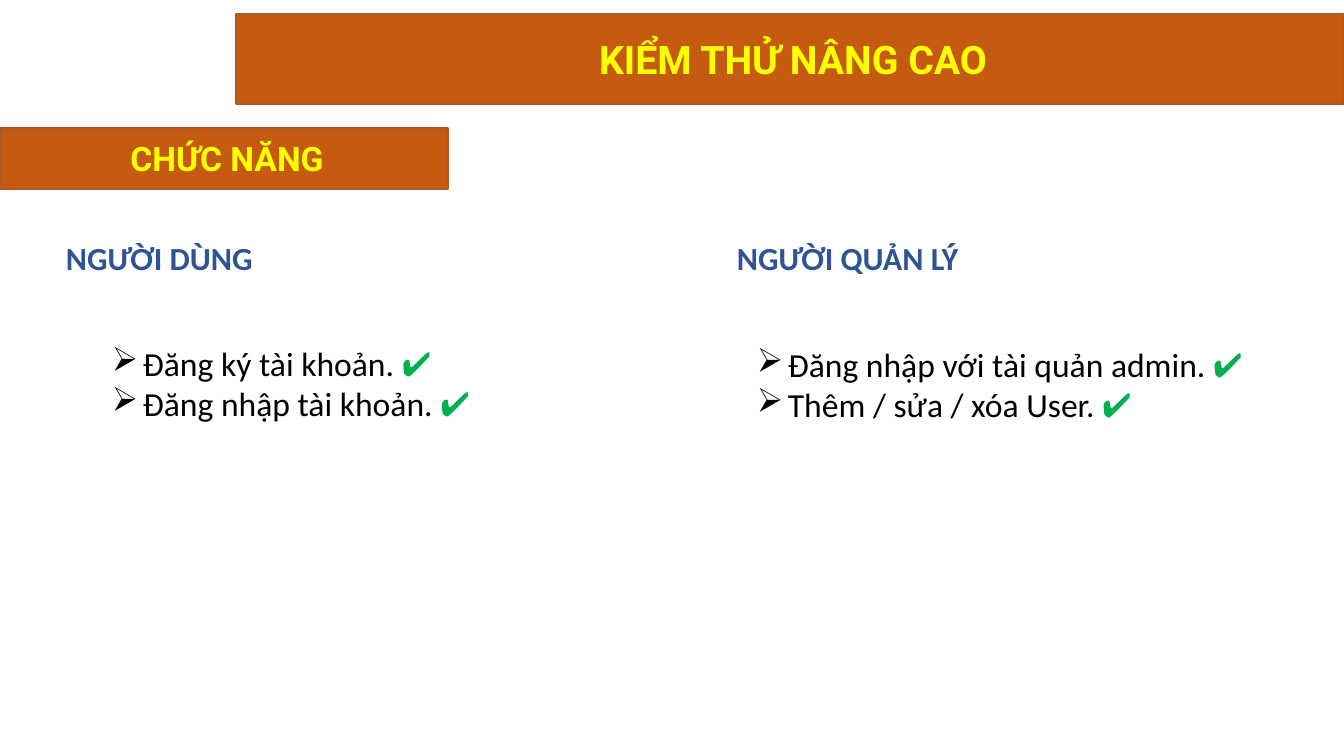
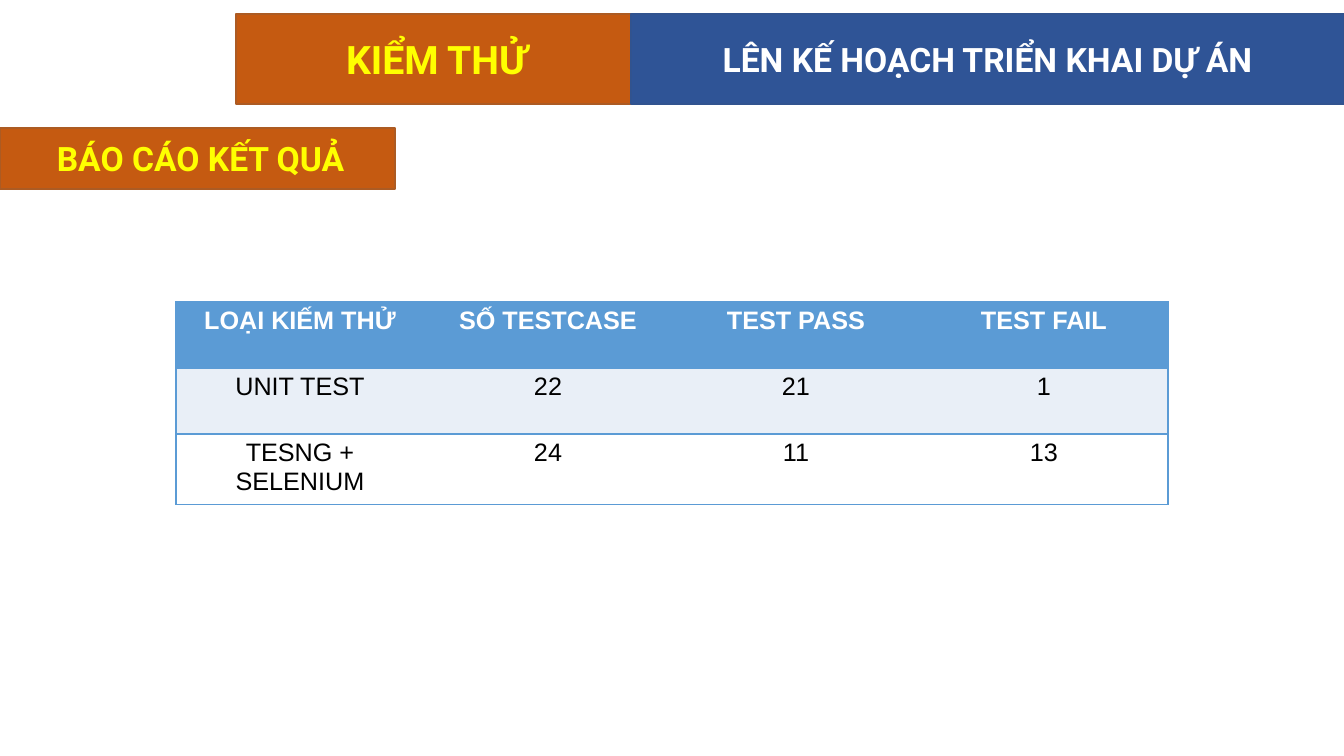
from lxml import etree
from pptx import Presentation
from pptx import util as u
from pptx.dml.color import RGBColor
from pptx.enum import shapes, text
from pptx.oxml.ns import qn

SCALE = 914400 / 100.8
HUES = {
    "rust": "C55A11", "edge": "AC5B23", "navy": "2F5496", "rim": "31538F",
    "yellow": "FFFF00", "white": "FFFFFF", "black": "000000",
    "green": "00B050", "sky": "5B9BD5", "pale": "E9EFF7",
}


def box(slide, spot, words, size, face, hue, fill=None, line=None, indent=6):
    area = [u.Emu(round(n * SCALE)) for n in spot]
    if fill:
        item = slide.shapes.add_shape(shapes.MSO_SHAPE.RECTANGLE, *area)
        item.shadow.inherit = False
        item.fill.solid()
        item.fill.fore_color.rgb = RGBColor.from_string(HUES[fill])
        item.line.color.rgb = RGBColor.from_string(HUES[line])
        item.line.width = u.Pt(1)
    else:
        item = slide.shapes.add_textbox(*area)
    frame = item.text_frame
    frame.word_wrap = True
    frame.text = words
    for para in frame.paragraphs:
        if fill:
            frame.vertical_anchor = text.MSO_ANCHOR.MIDDLE
            para.alignment = text.PP_ALIGN.CENTER
            para._p.get_or_add_pPr().set("marL", str(round(indent * SCALE)))
        style(para, size, face, hue, True)
    return frame


def style(para, size, face, hue, bold):
    for run in para.runs:
        run.font.size = u.Pt(size)
        run.font.name = face
        run.font.bold = bold
        run.font.color.rgb = RGBColor.from_string(HUES[hue])


deck = Presentation()
deck.slide_width = u.Emu(round(1344 * SCALE))
deck.slide_height = u.Emu(round(756 * SCALE))
blank = deck.slide_layouts[6]

heads = [
    ("KIỂM THỬ NÂNG CAO", 1108, "CHỨC NĂNG", 448),
    ("KIỂM THỬ", 395, "BÁO CÁO KẾT QUẢ", 395),
]
pages = []
for title, wide, label, span in heads:
    page = deck.slides.add_slide(blank)
    box(page, (236, 14, wide, 90), title, 28, "Roboto", "yellow", "rust", "edge")
    box(page, (0, 128, span, 61), label, 24, "Roboto", "yellow", "rust", "edge")
    pages.append(page)
roles, report = pages

groups = [
    (56, 102, 338, 563, "NGƯỜI DÙNG",
     ["Đăng ký tài khoản. ", "Đăng nhập tài khoản. "]),
    (727, 747, 339, 552, "NGƯỜI QUẢN LÝ",
     ["Đăng nhập với tài quản admin. ", "Thêm / sửa / xóa User. "]),
]
for left, inset, top, wide, role, tasks in groups:
    head = box(roles, (left, 231, 574, 45), role, 23, "Calibri", "navy")
    head.paragraphs[0].line_spacing = 1.07
    tasks_box = box(roles, (inset, top, wide, 132), "\n".join(tasks), 24, "Calibri", "black")
    for para in tasks_box.paragraphs:
        style(para, 24, "Calibri", "black", False)
        tick = para.add_run()
        tick.text = "✔"
        tick.font.size = u.Pt(24)
        tick.font.name = "Calibri"
        tick.font.bold = True
        tick.font.color.rgb = RGBColor.from_string(HUES["green"])
        props = para._p.get_or_add_pPr()
        props.set("marL", str(round(31 * SCALE)))
        props.set("indent", str(round(-31 * SCALE)))
        tint = etree.SubElement(props, qn("a:buClr"))
        etree.SubElement(tint, qn("a:srgbClr"), val=HUES["black"])
        etree.SubElement(props, qn("a:buFont"), typeface="Wingdings", charset="2")
        etree.SubElement(props, qn("a:buChar"), char="Ø")

box(report, (631, 14, 713, 90), "LÊN KẾ HOẠCH TRIỂN KHAI DỰ ÁN", 24, "Roboto",
    "white", "navy", "rim", 0)

rows = [
    ["LOẠI KIẾM THỬ", "SỐ TESTCASE", "TEST PASS", "TEST FAIL"],
    ["UNIT TEST", "22", "21", "1"],
    ["TESNG + SELENIUM", "24", "11", "13"],
]
fills = ["sky", "pale", "white"]
area = [u.Emu(round(n * SCALE)) for n in (176, 302, 992, 198)]
grid = report.shapes.add_table(3, 4, *area).table
grid.first_row = False
grid.horz_banding = False
grid._tbl.tblPr.find(qn("a:tableStyleId")).text = "{2D5ABB26-0587-4C30-8999-92F81FD0307C}"
for r, row in enumerate(rows):
    for c, words in enumerate(row):
        cell = grid.cell(r, c)
        cell.text = words
        para = cell.text_frame.paragraphs[0]
        para.alignment = text.PP_ALIGN.CENTER
        style(para, 18, "Arial", "black" if r else "white", r == 0)
        sides = ["lnL"] * (c == 0) + ["lnR"] * (c == 3) + ["lnT", "lnB"]
        props = cell._tc.get_or_add_tcPr()
        for side in sides:
            edge = etree.SubElement(props, qn("a:" + side), w=str(u.Pt(1)))
            paint = etree.SubElement(edge, qn("a:solidFill"))
            etree.SubElement(paint, qn("a:srgbClr"), val=HUES["sky"])
        cell.fill.solid()
        cell.fill.fore_color.rgb = RGBColor.from_string(HUES[fills[r]])

deck.save("out.pptx")
